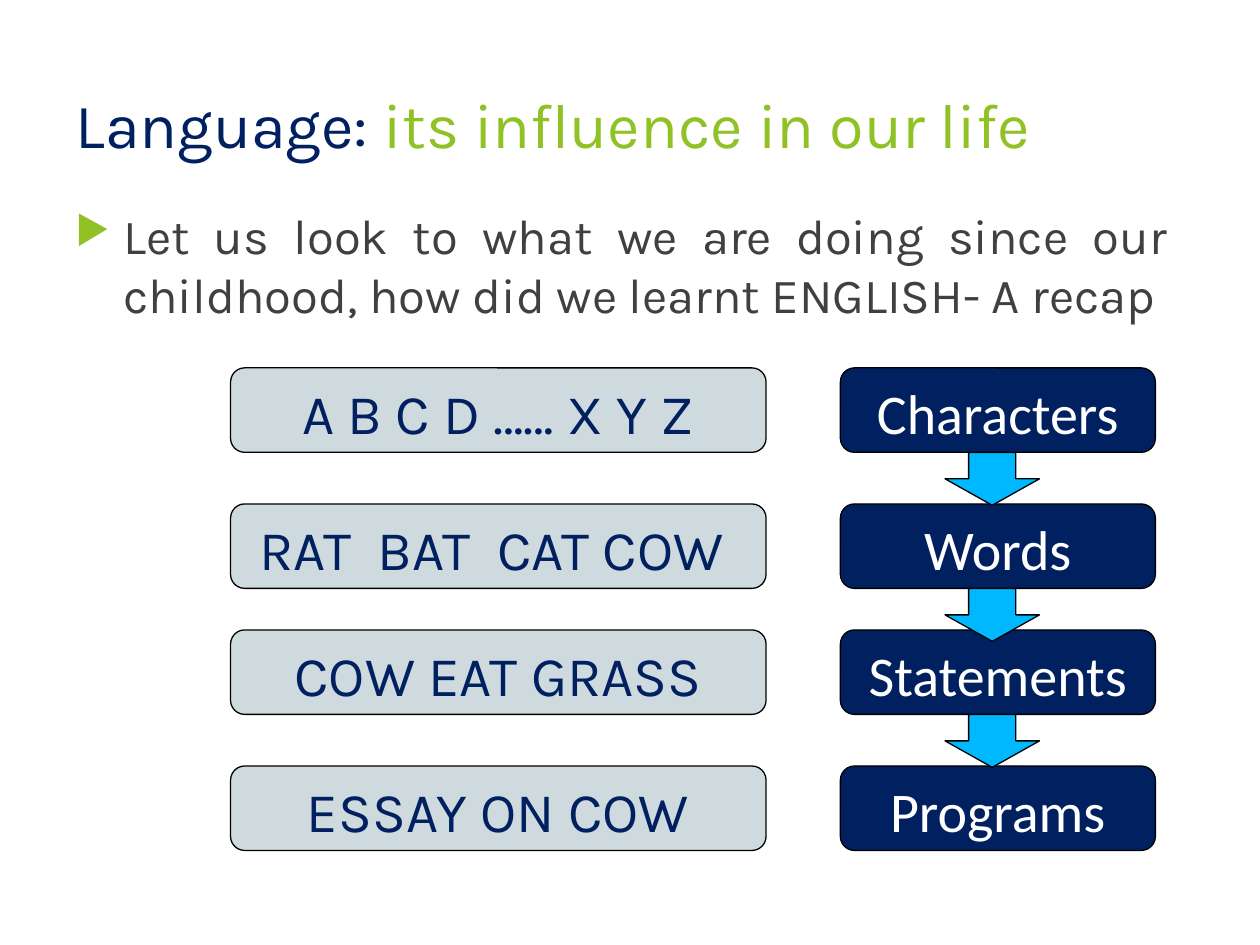
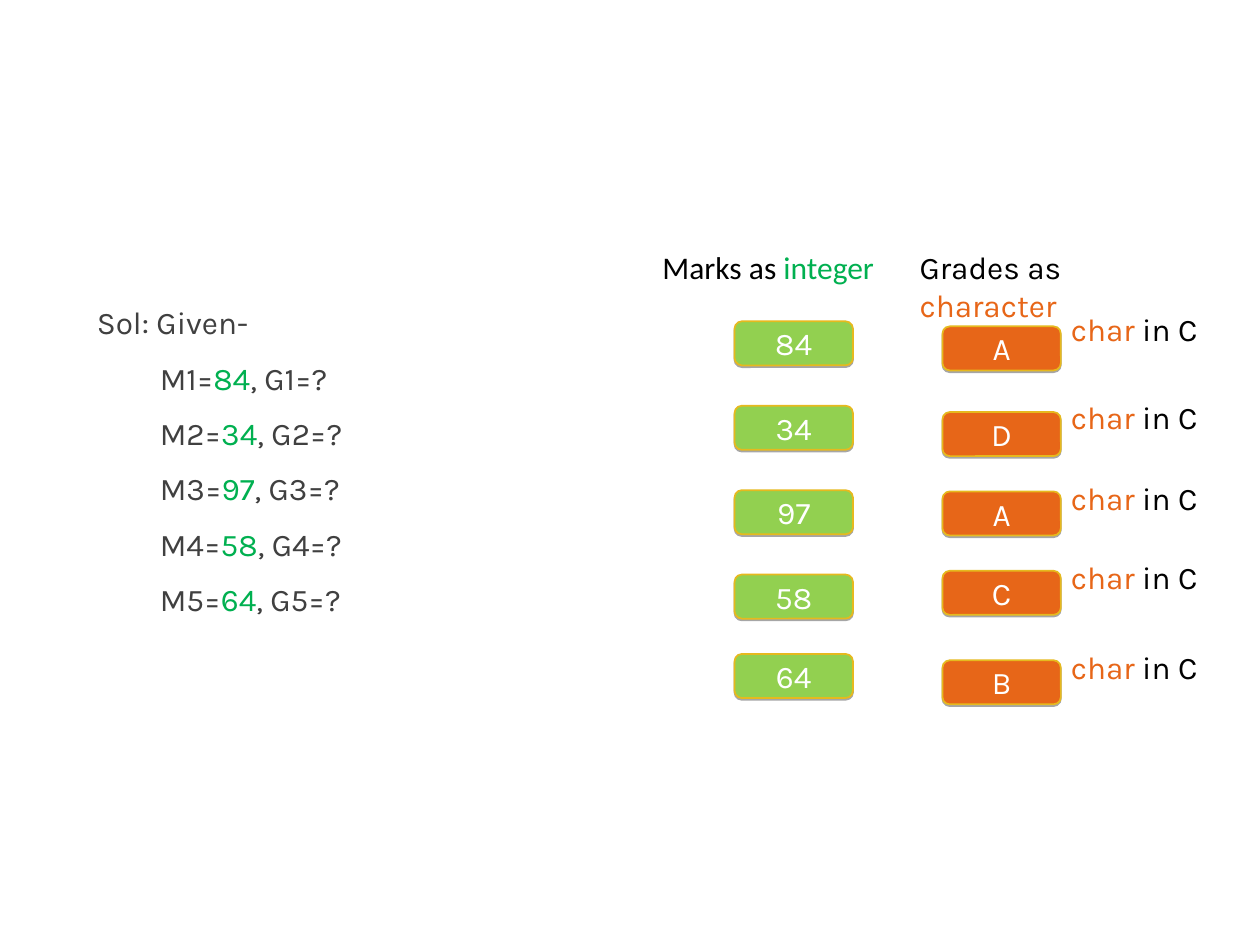
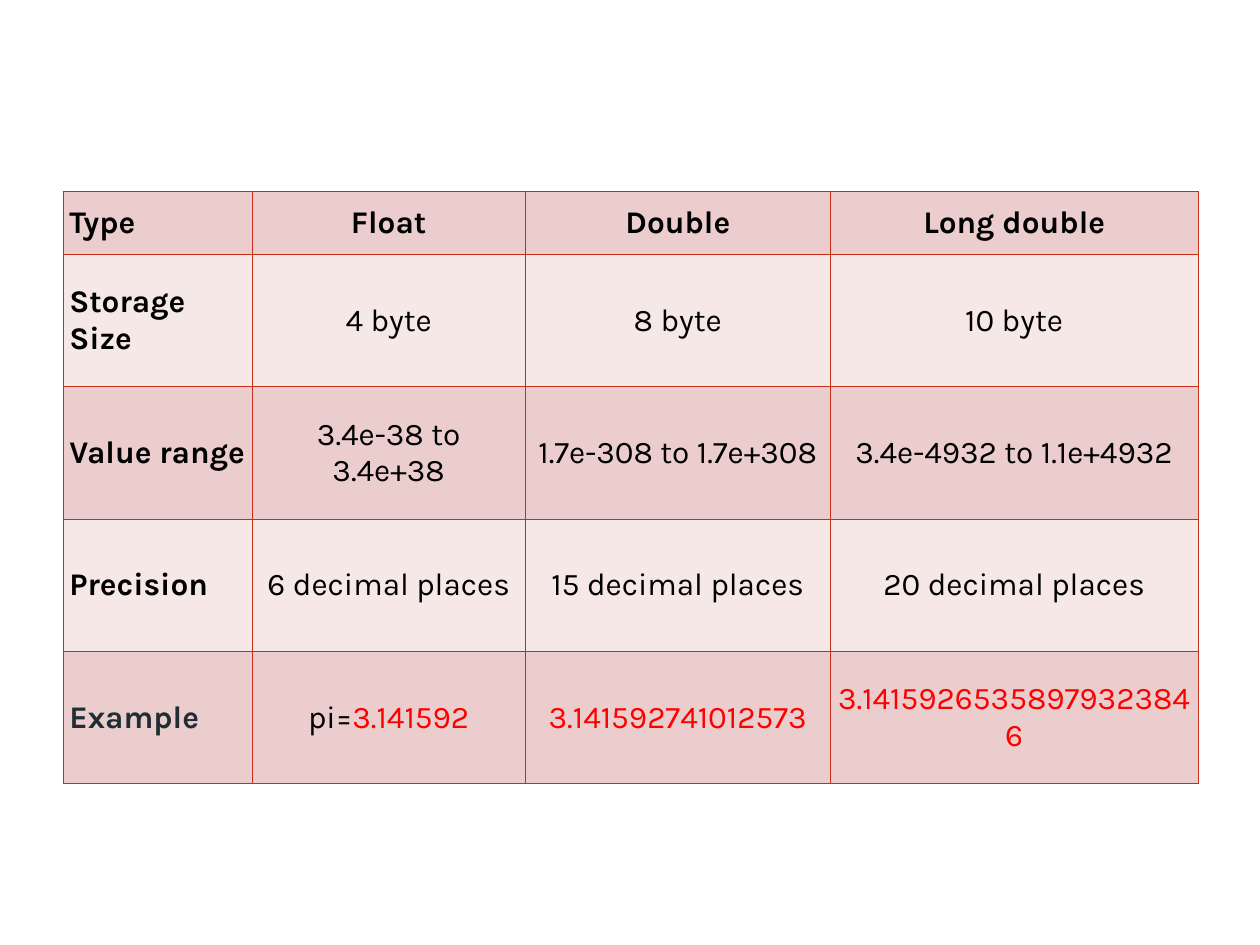
"""Build three slides on language, marks with grades, and floating-point types."""
from dataclasses import dataclass
from typing import Any, NamedTuple

import lxml.etree
import pptx
import pptx.dml.color
import pptx.enum.shapes
import pptx.enum.text
import pptx.oxml
import pptx.oxml.ns
import pptx.util

Inches = pptx.util.Inches
Pt = pptx.util.Pt
ALIGN = pptx.enum.text.PP_ALIGN
ANCHOR = pptx.enum.text.MSO_ANCHOR
PRESET = pptx.enum.shapes.MSO_SHAPE

COLORS = {
    "navy": "002060",
    "lime": "90C226",
    "body": "404040",
    "black": "000000",
    "white": "FFFFFF",
    "pale": "CFDADF",
    "sky": "00B8FF",
    "green": "00B050",
    "mark": "92D050",
    "grade": "E76618",
    "gold": "E6B91E",
    "border": "C42F1A",
    "band_dark": "EACDCC",
    "band_light": "F5E8E7",
    "slate": "212D32",
    "red": "FF0000",
}
FONT = "Karla"
LABEL_FONT = "Calibri"
TITLE_ONLY, BLANK = 5, 6


class Box(NamedTuple):
    left: float
    top: float
    width: float
    height: float


class Span(NamedTuple):
    text: str
    color: str


@dataclass(frozen=True)
class ShapeStyle:
    fill: str
    line: str
    line_width: float
    text_color: str = "white"
    size: int = 18
    font: str = FONT
    anchor: Any = ANCHOR.MIDDLE
    shadow: bool = False


class Stage(NamedTuple):
    top: float
    example: str
    name: str


class Student(NamedTuple):
    mark: str
    mark_top: float
    grade: str
    grade_top: float
    label_top: float


EXAMPLE = ShapeStyle("pale", "black", 0.75, "navy", 32, anchor=ANCHOR.TOP)
STAGE = ShapeStyle("navy", "black", 0.75, "white", 32, LABEL_FONT, ANCHOR.TOP)
ARROW = ShapeStyle("sky", "black", 0.75)
MARK = ShapeStyle("mark", "gold", 1, shadow=True)
GRADE = ShapeStyle("grade", "gold", 1, shadow=True)

STAGES = [
    Stage(2.92, "A B C D …… X Y Z", "Characters"),
    Stage(4, "RAT  BAT  CAT COW ", "Words"),
    Stage(5, "COW EAT GRASS", "Statements"),
    Stage(6.08, "ESSAY ON COW", "Programs"),
]
STAGE_HEIGHT = 0.67

STUDENTS = [
    Student("84", 2.55, "A", 2.59, 2.41),
    Student("34", 3.22, "D", 3.27, 3.11),
    Student("97", 3.89, "A", 3.9, 3.75),
    Student("58", 4.56, "C", 4.53, 4.38),
    Student("64", 5.19, "B", 5.24, 5.09),
]

COLUMN_WIDTHS = [1.5, 2.17, 2.42, 2.92]
ROW_HEIGHTS = [0.5, 1.05, 1.05, 1.05, 1.05]
TYPE_ROWS = [
    ["Type", "Float", "Double", "Long double"],
    ["Storage Size", "4 byte", "8 byte", "10 byte"],
    ["Value range", "3.4e-38 to 3.4e+38", "1.7e-308 to 1.7e+308", "3.4e-4932 to 1.1e+4932"],
    ["Precision", "6 decimal places", "15 decimal places", "20 decimal places"],
    ["Example", "pi=3.141592", "3.141592741012573", "3.14159265358979323846"],
]


def rgb(name: str) -> pptx.dml.color.RGBColor:
    """Return the named colour."""
    return pptx.dml.color.RGBColor.from_string(COLORS[name])


def inches(box: Box) -> list[int]:
    """Convert a box to lengths."""
    return [Inches(value) for value in box]


def xml(markup: str) -> Any:
    """Parse one drawing element, declaring its namespace."""
    tag, rest = markup[1:].split(" ", 1)
    return pptx.oxml.parse_xml(f"<{tag} {pptx.oxml.ns.nsdecls('a')} {rest}")


def write(paragraph: Any, spans: list[Span], size: int, font: str = FONT, bold: bool = False) -> None:
    """Write coloured spans into a paragraph."""
    for span in spans:
        run = paragraph.add_run()
        run.text = span.text
        run.font.size = Pt(size)
        run.font.name = font
        run.font.bold = bold
        run.font.color.rgb = rgb(span.color)


def add_text(slide: Any, box: Box, lines: list[list[Span]], size: int = 18,
             font: str = FONT, wrap: bool = True) -> list[Any]:
    """Add a text box and return its paragraphs."""
    text_frame = slide.shapes.add_textbox(*inches(box)).text_frame
    text_frame.word_wrap = wrap
    for number, spans in enumerate(lines):
        paragraph = text_frame.add_paragraph() if number else text_frame.paragraphs[0]
        if number:
            paragraph.space_before = Pt(10)
        write(paragraph, spans, size, font)
    return list(text_frame.paragraphs)


def add_block(slide: Any, preset: Any, box: Box, style: ShapeStyle, text: str = "") -> None:
    """Add a preset shape with optional centred text."""
    shape = slide.shapes.add_shape(preset, *inches(box))
    shape.fill.solid()
    shape.fill.fore_color.rgb = rgb(style.fill)
    shape.line.color.rgb = rgb(style.line)
    shape.line.width = Pt(style.line_width)
    shape.shadow.inherit = False
    if style.shadow:
        effects = shape._element.spPr.find(pptx.oxml.ns.qn("a:effectLst"))
        effects.append(xml(
            f'<a:outerShdw blurRad="0" dist="{Pt(1)}" dir="5400000" rotWithShape="0">'
            f'<a:srgbClr val="{COLORS["black"]}"><a:alpha val="35000"/></a:srgbClr></a:outerShdw>'))
    if text:
        shape.text_frame.vertical_anchor = style.anchor
        paragraph = shape.text_frame.paragraphs[0]
        paragraph.alignment = ALIGN.CENTER
        write(paragraph, [Span(text, style.text_color)], style.size, style.font)


def set_title(slide: Any, box: Box, spans: list[Span]) -> None:
    """Place and format the title placeholder."""
    title = slide.shapes.title
    title.left, title.top, title.width, title.height = inches(box)
    title.text_frame.vertical_anchor = ANCHOR.TOP
    paragraph = title.text_frame.paragraphs[0]
    paragraph.alignment = ALIGN.LEFT
    write(paragraph, spans, 36)


def add_bullet(paragraph: Any) -> None:
    """Give a paragraph a hanging triangle bullet."""
    properties = paragraph._p.get_or_add_pPr()
    properties.set("marL", str(Inches(0.38)))
    properties.set("indent", str(-Inches(0.38)))
    for markup in (
        f'<a:buClr ><a:srgbClr val="{COLORS["lime"]}"/></a:buClr>',
        '<a:buSzPct val="80000"/>',
        '<a:buChar char="▶"/>',
    ):
        properties.append(xml(markup))


def set_borders(cell: Any) -> None:
    """Draw the four borders of a table cell."""
    properties = cell._tc.get_or_add_tcPr()
    for position, side in enumerate("LRTB"):
        properties.insert(position, xml(
            f'<a:ln{side} w="{Pt(0.45)}"><a:solidFill><a:srgbClr val="{COLORS["border"]}"/>'
            f'</a:solidFill></a:ln{side}>'))


def cell_spans(text: str, row: int, column: int) -> list[Span]:
    """Colour the text of a table cell."""
    if row < len(TYPE_ROWS) - 1:
        return [Span(text, "black")]
    if column == 0:
        return [Span(text, "slate")]
    prefix, equals, value = text.rpartition("=")
    return [Span(part, color) for part, color in ((prefix + equals, "black"), (value, "red")) if part]


def build_language(presentation: Any) -> None:
    """Build the slide on language."""
    slide = presentation.slides.add_slide(presentation.slide_layouts[TITLE_ONLY])
    set_title(slide, Box(0.5, 0.63, 8.86, 1.12),
              [Span("Language: ", "navy"), Span("its influence in our life", "lime")])
    recap = ("Let us look to what we are doing since our childhood, "
             "how did we learnt ENGLISH- A recap")
    paragraph = add_text(slide, Box(0.5, 1.58, 8.86, 4.82), [[Span(recap, "body")]], 28)[0]
    paragraph.alignment = ALIGN.JUSTIFY
    add_bullet(paragraph)
    for stage in STAGES:
        add_block(slide, PRESET.ROUNDED_RECTANGLE, Box(1.83, stage.top, 4.25, STAGE_HEIGHT),
                  EXAMPLE, stage.example)
        add_block(slide, PRESET.ROUNDED_RECTANGLE, Box(6.67, stage.top, 2.5, STAGE_HEIGHT),
                  STAGE, stage.name)
    for stage in STAGES[:-1]:
        add_block(slide, PRESET.DOWN_ARROW, Box(7.5, stage.top + STAGE_HEIGHT, 0.75, 0.42), ARROW)


def build_marks(presentation: Any) -> None:
    """Build the slide on marks and grades."""
    slide = presentation.slides.add_slide(presentation.slide_layouts[BLANK])
    lines = [[Span("Sol: Given-", "body")]]
    for number, student in enumerate(STUDENTS, 1):
        lines.append([Span(f"\tM{number}=", "body"), Span(student.mark, "green"),
                      Span(f", G{number}=?", "body")])
    for paragraph in add_text(slide, Box(0.67, 2.36, 4.4, 4.24), lines)[1:]:
        paragraph._p.get_or_add_pPr().append(
            xml(f'<a:tabLst ><a:tab pos="{Inches(0.5)}" algn="l"/></a:tabLst>'))
    for student in STUDENTS:
        add_block(slide, PRESET.ROUNDED_RECTANGLE, Box(5.83, student.mark_top, 0.94, 0.35),
                  MARK, student.mark)
        add_block(slide, PRESET.ROUNDED_RECTANGLE, Box(7.48, student.grade_top, 0.94, 0.35),
                  GRADE, student.grade)
        add_text(slide, Box(8.4, student.label_top, 1.22, 0.4),
                 [[Span("char", "grade"), Span(" in C", "black")]], wrap=False)
    add_text(slide, Box(5.16, 1.92, 1.9, 0.4),
             [[Span("Marks as ", "black"), Span("integer", "green")]], font=LABEL_FONT)
    add_text(slide, Box(7.2, 1.92, 2.36, 0.7),
             [[Span("Grades as ", "black"), Span("character", "grade")]])


def build_types(presentation: Any) -> None:
    """Build the slide with the table of floating-point types."""
    slide = presentation.slides.add_slide(presentation.slide_layouts[BLANK])
    table = slide.shapes.add_table(len(ROW_HEIGHTS), len(COLUMN_WIDTHS),
                                   *inches(Box(0.5, 1.52, 9, 4.7))).table
    table.first_row = table.horz_banding = False
    for column, width in zip(table.columns, COLUMN_WIDTHS):
        column.width = Inches(width)
    for row, height in zip(table.rows, ROW_HEIGHTS):
        row.height = Inches(height)
    for row_number, texts in enumerate(TYPE_ROWS):
        for column_number, text in enumerate(texts):
            cell = table.cell(row_number, column_number)
            cell.margin_left = cell.margin_right = Inches(0.05)
            cell.margin_top = cell.margin_bottom = Inches(0.05)
            cell.vertical_anchor = ANCHOR.MIDDLE
            cell.fill.solid()
            cell.fill.fore_color.rgb = rgb("band_light" if row_number % 2 else "band_dark")
            set_borders(cell)
            paragraph = cell.text_frame.paragraphs[0]
            paragraph.alignment = ALIGN.CENTER if column_number else ALIGN.LEFT
            write(paragraph, cell_spans(text, row_number, column_number), 18,
                  bold=row_number == 0 or column_number == 0)


def main() -> None:
    """Build and save the presentation."""
    presentation = pptx.Presentation()
    presentation.slide_width = Inches(10)
    presentation.slide_height = Inches(7.5)
    build_language(presentation)
    build_marks(presentation)
    build_types(presentation)
    presentation.save("out.pptx")


if __name__ == "__main__":
    main()
